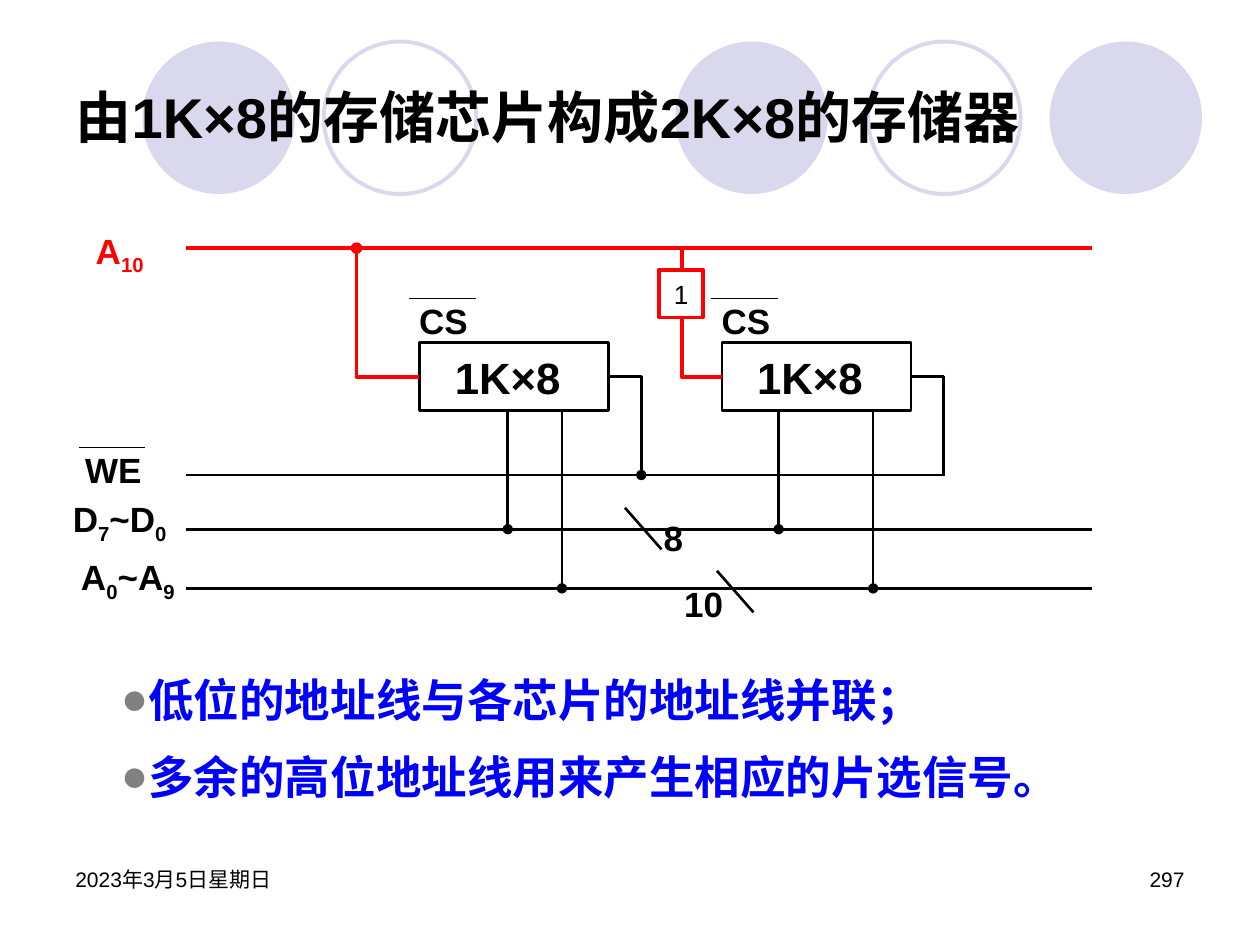
from lxml.etree import SubElement
from pptx import Presentation
from pptx.dml.color import RGBColor
from pptx.enum.shapes import MSO_CONNECTOR as LINK, MSO_SHAPE as SHAPE
from pptx.enum.text import MSO_ANCHOR as ANCHOR, MSO_AUTO_SIZE as AUTO, PP_ALIGN as ALIGN
from pptx.oxml.ns import qn
from pptx.util import Inches, Pt

BLACK = RGBColor(0, 0, 0)
WHITE = RGBColor(255, 255, 255)
RED = RGBColor(255, 0, 0)
BLUE = RGBColor(0, 0, 255)
LILAC = RGBColor(0xD9, 0xD8, 0xEC)
BULLET_GRAY = "808080"


def set_font(font, size, color=BLACK, bold=True):
    font.name, font.size, font.bold = "Arial", Pt(size), bold
    font.color.rgb = color


def place(shape, box):
    shape.left, shape.top, shape.width, shape.height = map(Inches, box)


def add_label(page, box, parts, size=20, color=BLACK, bold=True, align=ALIGN.CENTER):
    """Text box; every second part is a subscript."""
    frame = page.shapes.add_textbox(*map(Inches, box)).text_frame
    frame.word_wrap = True
    para = frame.paragraphs[0]
    para.alignment = align
    set_font(para.font, size, color, bold)
    for index, part in enumerate(parts):
        span = para.add_run()
        span.text = part
        if index % 2:
            span._r.get_or_add_rPr().set("baseline", "-25000")


def add_wire(page, start, end, color=BLACK, width=1.5, elbow=False, dot=False):
    """Straight wire, or an elbow that runs across first and then up or down."""
    kind = LINK.ELBOW if elbow else LINK.STRAIGHT
    wire = page.shapes.add_connector(kind, *map(Inches, (*start, *end)))
    wire.line.color.rgb, wire.line.width = color, Pt(width)
    properties = wire._element.spPr
    if elbow:
        guides = properties.find(qn("a:prstGeom")).get_or_add_avLst()
        SubElement(guides, qn("a:gd"), name="adj1", fmla="val 100000")
    if dot:
        SubElement(properties.find(qn("a:ln")), qn("a:tailEnd"), type="oval")
    SubElement(properties, qn("a:effectLst"))


def add_block(page, box, text, size, color, width, bold, right_inset=0.1):
    block = page.shapes.add_shape(SHAPE.RECTANGLE, *map(Inches, box))
    block.shadow.inherit = False
    block.fill.solid()
    block.fill.fore_color.rgb = WHITE
    block.line.color.rgb, block.line.width = color, Pt(width)
    frame = block.text_frame
    frame.word_wrap = False
    frame.vertical_anchor = ANCHOR.MIDDLE
    frame.margin_right = Inches(right_inset)
    para = frame.paragraphs[0]
    para.text, para.alignment = text, ALIGN.CENTER
    set_font(para.font, size, bold=bold)


def add_overlined(page, box, text):
    left, top, width, _ = box
    add_label(page, box, [text])
    bar = left + width / 4
    add_wire(page, (bar, top + 0.04), (bar + 0.53, top + 0.04), width=0.75)


def add_header(page, box):
    """Row of circles behind the title."""
    left, top, width, height = box
    for share, filled in ((0.07, True), (0.23, False), (0.54, True), (0.71, False), (0.87, True)):
        circle = page.shapes.add_shape(
            SHAPE.OVAL, *map(Inches, (left + share * width, top + 0.03, 1.21, 1.21)))
        circle.shadow.inherit = False
        if filled:
            circle.fill.solid()
            circle.fill.fore_color.rgb = LILAC
            circle.line.fill.background()
        else:
            circle.fill.background()
            circle.line.color.rgb, circle.line.width = LILAC, Pt(2.25)
    title = page.shapes.title
    place(title, box)
    title.text_frame.vertical_anchor = ANCHOR.MIDDLE
    title.text_frame.auto_size = AUTO.NONE
    para = title.text_frame.paragraphs[0]
    para.text, para.alignment = "由1K×8的存储芯片构成2K×8的存储器", ALIGN.LEFT
    set_font(para.font, 32)
    page.shapes._spTree.append(title._element)  # bring in front of the circles


def add_chip(page, box, write_y, data, address):
    """Memory chip with its wires to the write, data and address buses."""
    left, top, width, height = box
    right, middle, bottom = left + width, top + height / 2, top + height
    add_block(page, box, "1K×8", 25, BLACK, 1.5, True, right_inset=0.2)
    add_overlined(page, (left - 0.36, top - 0.39, 1.1, 0.43), "CS")
    write_x, write_dot = write_y
    add_wire(page, (right, middle), (right + 0.26, write_x), elbow=True, dot=write_dot)
    for x, y in (data, address):
        add_wire(page, (x, bottom), (x, y), dot=True)


def add_circuit(page, box):
    left, top, width, _ = box
    right = left + width
    select_y, write_y, data_y, address_y = (top + y for y in (0, 1.8, 2.23, 2.7))
    chip_y = top + 0.75
    first, second = left + 1.85, left + 4.25

    # Buses and their names
    add_wire(page, (left, select_y), (right, select_y), RED, 2.25)
    add_wire(page, (left, write_y), (second + 1.77, write_y))
    for y in (data_y, address_y):
        add_wire(page, (left, y), (right, y))
    add_label(page, (left - 0.94, select_y - 0.2, 0.82, 0.43), ["A", "10"], color=RED)
    add_overlined(page, (left - 1.13, write_y - 0.26, 1.1, 0.43), "WE")
    add_label(page, (left - 1.08, data_y - 0.3, 1.1, 0.43), ["D", "7", "~D", "0"])
    add_label(page, (left - 1, address_y - 0.31, 1.07, 0.43), ["A", "0", "~A", "9"])

    # Chips; only the first one needs a junction on the write line
    for x, dot, data, address in ((first, True, 0.7, 1.13), (second, False, 0.45, 1.2)):
        add_chip(page, (x, chip_y, 1.5, 0.54), (write_y, dot),
                 (x + data, data_y), (x + address, address_y))

    # Chip select, direct and through the inverter
    select_in = chip_y + 0.27
    add_wire(page, (first, select_in), (first - 0.5, select_y), RED, 2.25, elbow=True, dot=True)
    add_wire(page, (second, select_in), (second - 0.32, select_y), RED, 2.25, elbow=True)
    add_block(page, (second - 0.5, select_y + 0.17, 0.35, 0.38), "1", 15, RED, 2.25, False)

    # Bus widths
    for x, y, label_x, label_y, count in ((3.48, data_y - 0.17, 3.61, data_y - 0.15, "8"),
                                          (4.21, address_y - 0.14, 3.85, address_y - 0.1, "10")):
        add_wire(page, (left + x, y), (left + x + 0.29, y + 0.33))
        add_label(page, (left + label_x, label_y, 0.51, 0.43), [count])


def add_points(page, box):
    body = page.placeholders[1]
    place(body, box)
    frame = body.text_frame
    frame.auto_size = AUTO.NONE
    frame.text = "低位的地址线与各芯片的地址线并联；\n多余的高位地址线用来产生相应的片选信号。"
    for index, para in enumerate(frame.paragraphs):
        properties = para._p.get_or_add_pPr()
        properties.set("marL", "0")
        properties.set("indent", "0")
        para.space_before = Pt(13 if index else 0)
        SubElement(SubElement(properties, qn("a:buClr")), qn("a:srgbClr"), val=BULLET_GRAY)
        SubElement(properties, qn("a:buFont"), typeface="Arial")
        SubElement(properties, qn("a:buChar"), char="●")
        set_font(para.font, 26, BLUE)


def add_footer(page, box):
    for text, share, align in (("2023年3月5日星期日", 0, ALIGN.LEFT), ("297", 0.74, ALIGN.RIGHT)):
        left, top, width, height = box
        add_label(page, (left + share * width, top, 0.26 * width, height),
                  [text], 12, bold=False, align=align)


def main():
    deck = Presentation()
    deck.slide_width, deck.slide_height = Inches(10), Inches(7.5)
    page = deck.slides.add_slide(deck.slide_layouts[1])
    add_header(page, (0.5, 0.3, 9, 1.25))
    add_circuit(page, (1.48, 1.97, 7.19, 2.9))
    add_points(page, (0.86, 5.28, 8.15, 1.19))
    add_footer(page, (0.5, 6.83, 9, 0.5))
    deck.save("out.pptx")


if __name__ == "__main__":
    main()
